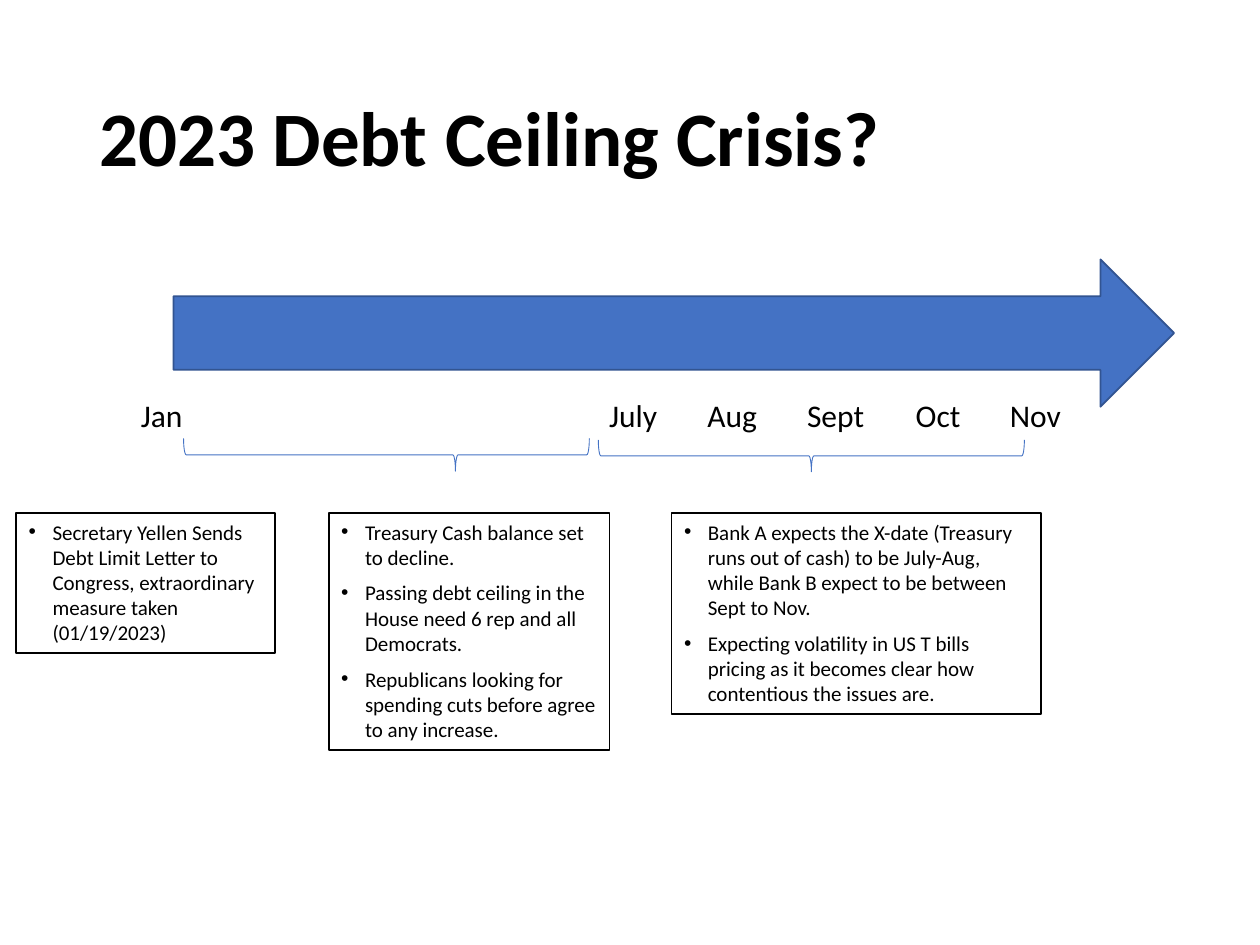
from pptx import Presentation
from pptx.dml.color import RGBColor
from pptx.enum.shapes import MSO_SHAPE as Form
from pptx.enum.text import MSO_ANCHOR as Anchor, MSO_AUTO_SIZE as Fit, PP_ALIGN as Align
from pptx.oxml.ns import qn
from pptx.util import Cm, Pt
from lxml import etree

BLACK, WHITE, BLUE, NAVY = "000000", "FFFFFF", "4472C4", "325491"


def paint(color, value):
    color.rgb = RGBColor.from_string(value)


def style(para, size, bold=False):
    para.alignment = Align.LEFT
    font = para.font
    font.name, font.size, font.bold = "Calibri", Pt(size), bold
    paint(font.color, BLACK)


def bullet(para):
    props = para._p.get_or_add_pPr()
    props.set("marL", str(Cm(0.48)))
    props.set("indent", str(-Cm(0.48)))
    etree.SubElement(props, qn("a:buFont")).set("typeface", "Arial")
    etree.SubElement(props, qn("a:buChar")).set("char", "•")


def add_form(slide, form, box, line, width, fill=None):
    shape = slide.shapes.add_shape(form, *map(Cm, box))
    shape.shadow.inherit = False
    if fill:
        shape.fill.solid()
        paint(shape.fill.fore_color, fill)
    else:
        shape.fill.background()
    paint(shape.line.color, line)
    shape.line.width = Pt(width)
    return shape


def add_title(slide, box, text):
    title = slide.shapes.title
    title.left, title.top, title.width, title.height = map(Cm, box)
    frame = title.text_frame
    frame.text = text
    frame.vertical_anchor = Anchor.MIDDLE
    para = frame.paragraphs[0]
    para.line_spacing = 0.9
    style(para, 44, True)


def add_month(slide, box, text):
    frame = slide.shapes.add_textbox(*map(Cm, box)).text_frame
    frame.word_wrap = False
    frame.auto_size = Fit.SHAPE_TO_FIT_TEXT
    frame.text = text
    style(frame.paragraphs[0], 18)


def add_brace(slide, box, curve, tip):
    # A right brace turned to point down, so its sides swap about the centre
    left, top, width, height = box
    turned = (left + (width - height) / 2, top + (height - width) / 2, height, width)
    brace = add_form(slide, Form.RIGHT_BRACE, turned, BLUE, 0.5)
    brace.rotation = 90
    brace.adjustments[0], brace.adjustments[1] = curve, tip


def add_note(slide, box, items, gap):
    note = add_form(slide, Form.RECTANGLE, box, BLACK, 1, WHITE)
    frame = note.text_frame
    frame.word_wrap = True
    frame.auto_size = Fit.SHAPE_TO_FIT_TEXT
    frame.vertical_anchor = Anchor.TOP
    frame.text = "\n".join(items)
    for para in frame.paragraphs:
        style(para, 12)
        para.space_after = Pt(gap)
        bullet(para)


def add_line(slide, box):
    """Arrow with the months and braces beneath it."""
    left, top, width, height = box
    add_form(slide, Form.RIGHT_ARROW, box, NAVY, 1, BLUE)
    for text, shift, wide in MONTHS:
        add_month(slide, (left + shift, top + 2.62, wide, 1.02), text)
    for shift, drop, wide, high, curve, tip in BRACES:
        add_brace(slide, (left + shift, top + drop, wide, high), curve, tip)


# Month, offset from the arrow, width
MONTHS = [
    ("Jan", -0.91, 1.37), ("July", 8.53, 1.5), ("Aug", 10.51, 1.52),
    ("Sept", 12.52, 1.68), ("Oct", 14.71, 1.42), ("Nov", 16.61, 1.55),
]
# Offset, drop, width, height, curve, tip
BRACES = [
    (0.2, 3.61, 8.18, 0.66, 0.08, 0.33),
    (8.56, 3.64, 8.59, 0.64, 0.08, 0.5),
]
# Left, width, height, space after, items
NOTES = [
    (0.33, 5.21, 2.82, 0, [
        "Secretary Yellen Sends Debt Limit Letter to Congress, "
        "extraordinary measure taken (01/19/2023)"]),
    (6.63, 5.66, 4.78, 6, [
        "Treasury Cash balance set to decline.",
        "Passing debt ceiling in the House need 6 rep and all Democrats.",
        "Republicans looking for spending cuts before agree to any increase."]),
    (13.54, 7.44, 4.06, 6, [
        "Bank A expects the X-date (Treasury runs out of cash) to be July-Aug, "
        "while Bank B expect to be between Sept to Nov.",
        "Expecting volatility in US T bills pricing as it becomes clear "
        "how contentious the issues are."]),
]

deck = Presentation()
deck.slide_width, deck.slide_height = Cm(25.4), Cm(19.05)
slide = deck.slides.add_slide(deck.slide_layouts[5])

add_title(slide, (1.75, 1.02, 21.9, 3.68), "2023 Debt Ceiling Crisis?")
add_line(slide, (3.5, 5.23, 20.17, 2.97))
for left, width, height, gap, items in NOTES:
    add_note(slide, (left, 10.34, width, height), items, gap)

deck.save("out.pptx")
